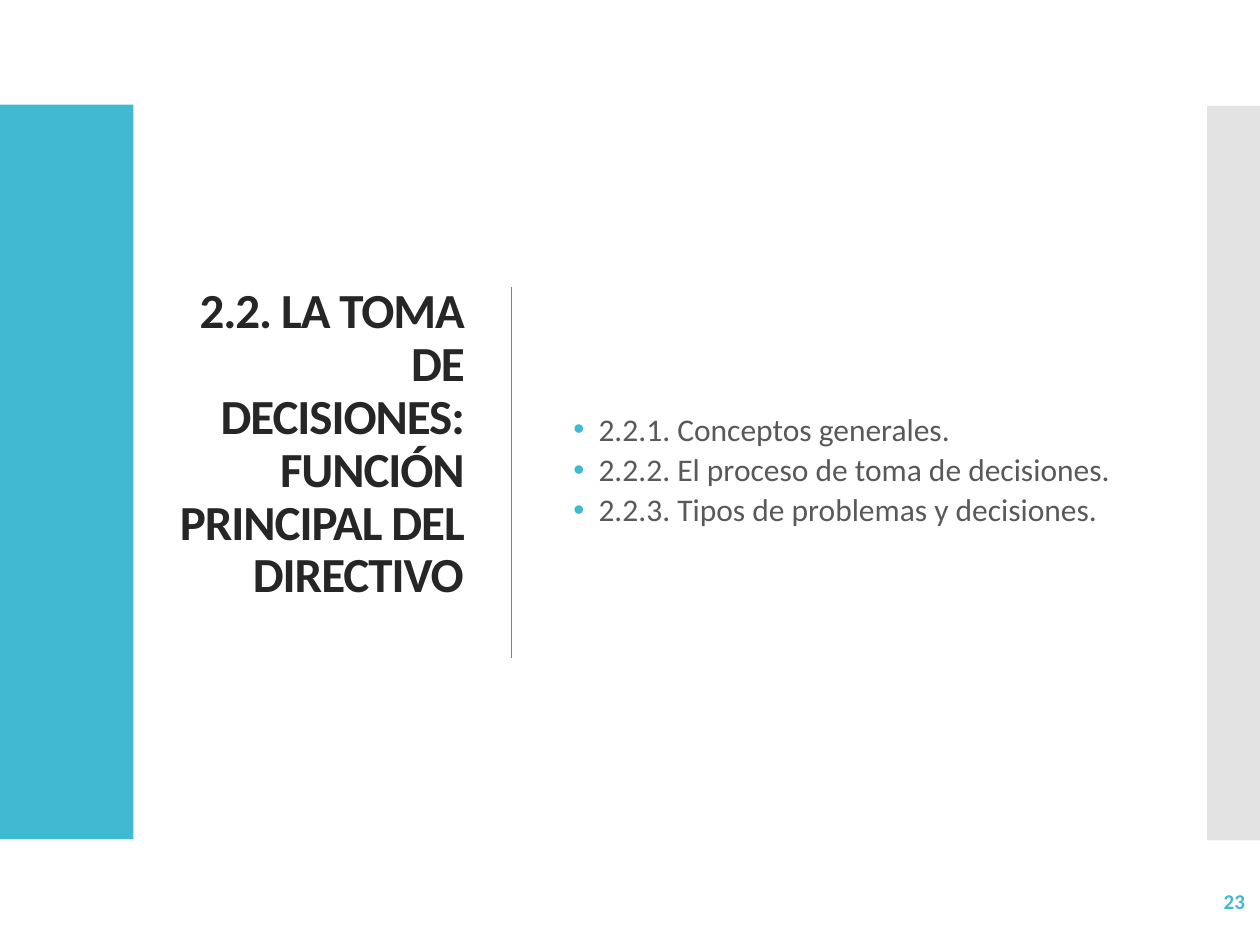
from dataclasses import dataclass

from lxml import etree
from pptx import Presentation
from pptx.dml.color import RGBColor
from pptx.enum.shapes import MSO_CONNECTOR, MSO_SHAPE
from pptx.enum.text import MSO_ANCHOR, MSO_AUTO_SIZE, PP_ALIGN
from pptx.oxml.ns import qn
from pptx.util import Inches, Pt

RECTANGLE = MSO_SHAPE.RECTANGLE
STRAIGHT = MSO_CONNECTOR.STRAIGHT
MIDDLE = MSO_ANCHOR.MIDDLE
NO_FIT = MSO_AUTO_SIZE.NONE
LEFT, RIGHT = PP_ALIGN.LEFT, PP_ALIGN.RIGHT

TEAL = RGBColor(0x40, 0xBA, 0xD2)
SILVER = RGBColor(0xC8, 0xC8, 0xC8)
GRAY = RGBColor(0x80, 0x80, 0x80)
INK = RGBColor(0x26, 0x26, 0x26)
BODY_INK = RGBColor(0x59, 0x59, 0x59)

FONT = "Calibri"
WIDTH, HEIGHT = Inches(10), Inches(7.5)
BAND_TOP, BAND_HEIGHT = 0.83, 5.83
TEXT_TOP, TEXT_HEIGHT = 0.94, 5.6
DIVIDER_X = 4.06

HEADING = "2.2. LA TOMA DE DECISIONES: FUNCIÓN PRINCIPAL DEL DIRECTIVO"
TOPICS = [
    "2.2.1. Conceptos generales.",
    "2.2.2. El proceso de toma de decisiones.",
    "2.2.3. Tipos de problemas y decisiones.",
]


@dataclass(frozen=True)
class Band:
    """A vertical colour band at a slide edge."""

    left: float
    top: float
    width: float
    color: RGBColor
    opacity: int = 100


BANDS = [
    Band(0, BAND_TOP, 1.06, TEAL),
    Band(9.58, 0.84, 0.42, SILVER, 50),
]


def place(shape, left: float, top: float, width: float, height: float) -> None:
    """Move and size a shape, in inches."""
    shape.left, shape.top = Inches(left), Inches(top)
    shape.width, shape.height = Inches(width), Inches(height)


def draw_band(slide, band: Band) -> None:
    """Draw one edge band."""
    bar = slide.shapes.add_shape(RECTANGLE, 0, 0, 0, 0)
    place(bar, band.left, band.top, band.width, BAND_HEIGHT)
    bar.shadow.inherit = False
    bar.line.fill.background()
    bar.fill.solid()
    bar.fill.fore_color.rgb = band.color
    if band.opacity < 100:
        tint = next(bar.element.spPr.iter(qn("a:srgbClr")))
        etree.SubElement(tint, qn("a:alpha")).set("val", str(band.opacity * 1000))


def draw_divider(slide) -> None:
    """Draw the line between the heading and the topics."""
    x = Inches(DIVIDER_X)
    divider = slide.shapes.add_connector(STRAIGHT, x, Inches(2.28), x, Inches(5.22))
    divider.line.color.rgb = GRAY
    divider.line.width = Pt(1)
    etree.SubElement(divider.element.spPr, qn("a:effectLst"))


def add_bullet(paragraph) -> None:
    """Give a paragraph a teal round bullet and a hanging indent."""
    properties = paragraph._p.get_or_add_pPr()
    properties.set("marL", str(Inches(0.31)))
    properties.set("indent", str(Inches(-0.2)))
    bullet_color = etree.SubElement(properties, qn("a:buClr"))
    etree.SubElement(bullet_color, qn("a:srgbClr")).set("val", str(TEAL))
    etree.SubElement(properties, qn("a:buFont")).set("typeface", "Arial")
    etree.SubElement(properties, qn("a:buChar")).set("char", "•")


def write(shape, lines: list[str], *, size: float, color: RGBColor,
          bold: bool = False, align=LEFT, line_spacing: float = 1.0,
          gap: float = 0, tracking: float = 0, bulleted: bool = False) -> None:
    """Fill a shape with formatted paragraphs, centred vertically."""
    frame = shape.text_frame
    frame.word_wrap = True
    frame.auto_size = NO_FIT
    frame.vertical_anchor = MIDDLE
    for index, line in enumerate(lines):
        paragraph = frame.paragraphs[0] if index == 0 else frame.add_paragraph()
        if bulleted:
            add_bullet(paragraph)
        paragraph.alignment = align
        paragraph.line_spacing = line_spacing
        paragraph.space_before = Pt(gap if index else 0)
        run = paragraph.add_run()
        run.text = line
        run.font.name = FONT
        run.font.size = Pt(size)
        run.font.bold = bold
        run.font.color.rgb = color
        if tracking:
            run.font._element.set("spc", str(round(tracking * 100)))


def main() -> None:
    """Build and save the section slide."""
    deck = Presentation()
    deck.slide_width, deck.slide_height = WIDTH, HEIGHT
    slide = deck.slides.add_slide(deck.slide_layouts[1])

    for band in BANDS:
        draw_band(slide, band)
    draw_divider(slide)

    heading = slide.shapes.title
    place(heading, 1.26, TEXT_TOP, 2.52, TEXT_HEIGHT)
    heading.text_frame.margin_bottom = Inches(0.47)
    write(heading, [HEADING], size=28, color=INK, bold=True, align=RIGHT,
          line_spacing=0.9, tracking=-0.6)

    topics = slide.placeholders[1]
    place(topics, 4.34, TEXT_TOP, 4.85, TEXT_HEIGHT)
    write(topics, TOPICS, size=18, color=BODY_INK, line_spacing=0.9,
          gap=3.6, bulleted=True)

    page_number = slide.shapes.add_textbox(0, 0, 0, 0)
    place(page_number, 8.72, 6.95, 1.26, 0.4)
    write(page_number, ["23"], size=12, color=TEAL, bold=True, align=RIGHT)

    deck.save("out.pptx")


if __name__ == "__main__":
    main()
